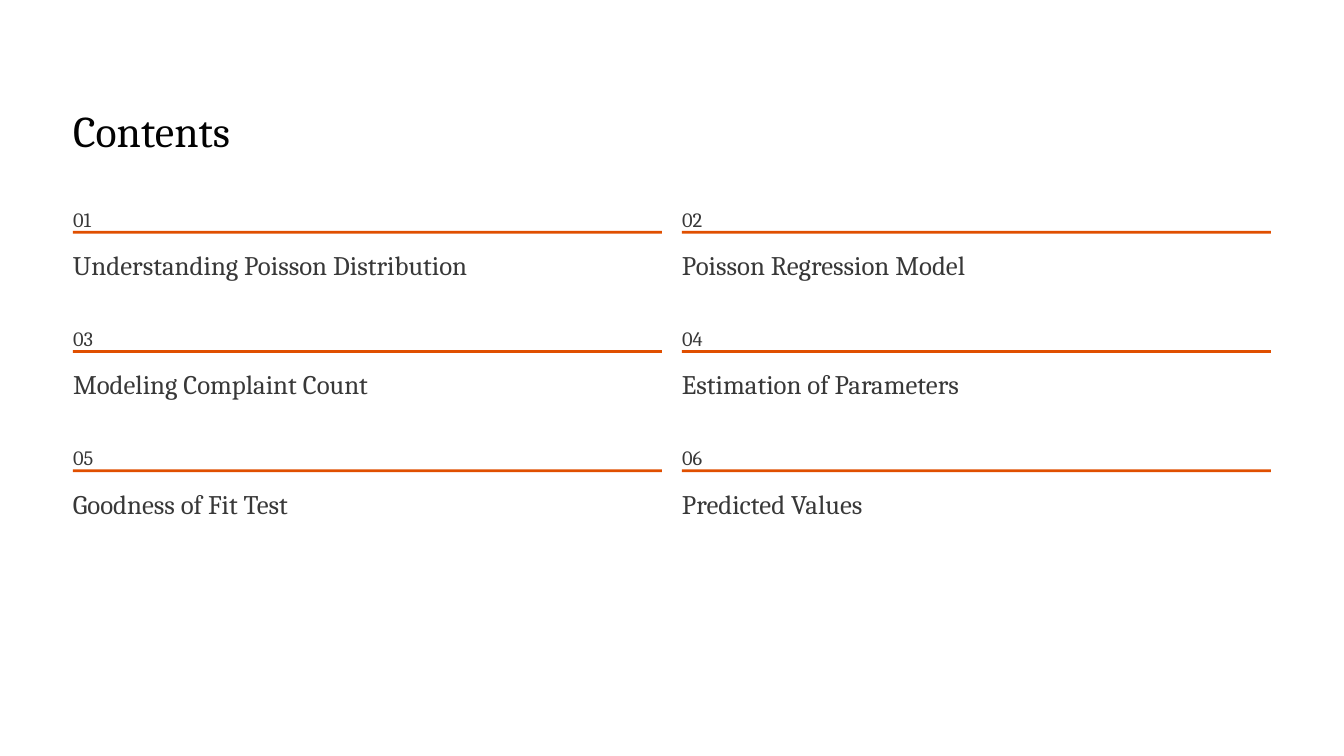
from dataclasses import dataclass

from pptx import Presentation
from pptx.dml.color import RGBColor
from pptx.enum.shapes import MSO_SHAPE
from pptx.enum.text import MSO_ANCHOR, MSO_AUTO_SIZE, PP_ALIGN
from pptx.util import Pt

RECTANGLE = MSO_SHAPE.RECTANGLE
TOP = MSO_ANCHOR.TOP
NO_AUTOFIT = MSO_AUTO_SIZE.NONE
LEFT_ALIGNED = PP_ALIGN.LEFT

FONT_NAME = "Cambria"
LEFT_MARGIN = 62.6
COLUMN_STEP = 522
ROW_STEP = 102.24
COLUMN_COUNT = 2


@dataclass(frozen=True)
class TextStyle:
    size: float
    line_spacing: float
    color: str


@dataclass(frozen=True)
class Section:
    heading: str
    width: float


TITLE_STYLE = TextStyle(37.5, 46.5, "020202")
NUMBER_STYLE = TextStyle(17.5, 28.5, "383838")
HEADING_STYLE = TextStyle(23, 29, "383838")

SECTIONS = [
    Section("Understanding Poisson Distribution", 344),
    Section("Poisson Regression Model", 302),
    Section("Modeling Complaint Count", 309),
    Section("Estimation of Parameters", 302),
    Section("Goodness of Fit Test", 235),
    Section("Predicted Values", 235),
]


def set_fill(fill, color: str) -> None:
    fill.solid()
    fill.fore_color.rgb = RGBColor.from_string(color)


def write_text(shape, text: str, style: TextStyle) -> None:
    frame = shape.text_frame
    frame.margin_left = frame.margin_right = Pt(0)
    frame.margin_top = frame.margin_bottom = Pt(0)
    frame.vertical_anchor = TOP
    frame.auto_size = NO_AUTOFIT
    frame.word_wrap = False
    frame.text = text
    paragraph = frame.paragraphs[0]
    paragraph.alignment = LEFT_ALIGNED
    paragraph.line_spacing = Pt(style.line_spacing)
    paragraph.font.name = FONT_NAME
    paragraph.font.size = Pt(style.size)
    set_fill(paragraph.font.fill, style.color)


def add_label(slide, left: float, top: float, width: float, height: float,
              text: str, style: TextStyle) -> None:
    shape = slide.shapes.add_textbox(Pt(left), Pt(top), Pt(width), Pt(height))
    write_text(shape, text, style)


def add_rule(slide, left: float, top: float) -> None:
    shape = slide.shapes.add_shape(RECTANGLE, Pt(left), Pt(top), Pt(504.8), Pt(2.4))
    shape.shadow.inherit = False
    set_fill(shape.fill, "E04F00")
    shape.line.fill.background()


def add_section(slide, index: int, section: Section) -> None:
    row, column = divmod(index, COLUMN_COUNT)
    left = LEFT_MARGIN + column * COLUMN_STEP
    offset = row * ROW_STEP
    add_label(slide, left, 169.9 + offset, 18, 22.5, f"{index + 1:02}", NUMBER_STYLE)
    add_rule(slide, left, 197.8 + offset)
    add_label(slide, left, 211.7 + offset, section.width, 29.5,
              section.heading, HEADING_STYLE)


def add_title(slide) -> None:
    title = slide.shapes.title
    title.left, title.top = Pt(LEFT_MARGIN), Pt(87.1)
    title.width, title.height = Pt(375), Pt(46.8)
    write_text(title, "Contents", TITLE_STYLE)


def main() -> None:
    presentation = Presentation()
    presentation.slide_width = Pt(1152)
    presentation.slide_height = Pt(648)
    slide = presentation.slides.add_slide(presentation.slide_layouts[5])
    set_fill(slide.background.fill, "FFFFFF")
    add_title(slide)
    for index, section in enumerate(SECTIONS):
        add_section(slide, index, section)
    presentation.save("out.pptx")


if __name__ == "__main__":
    main()
